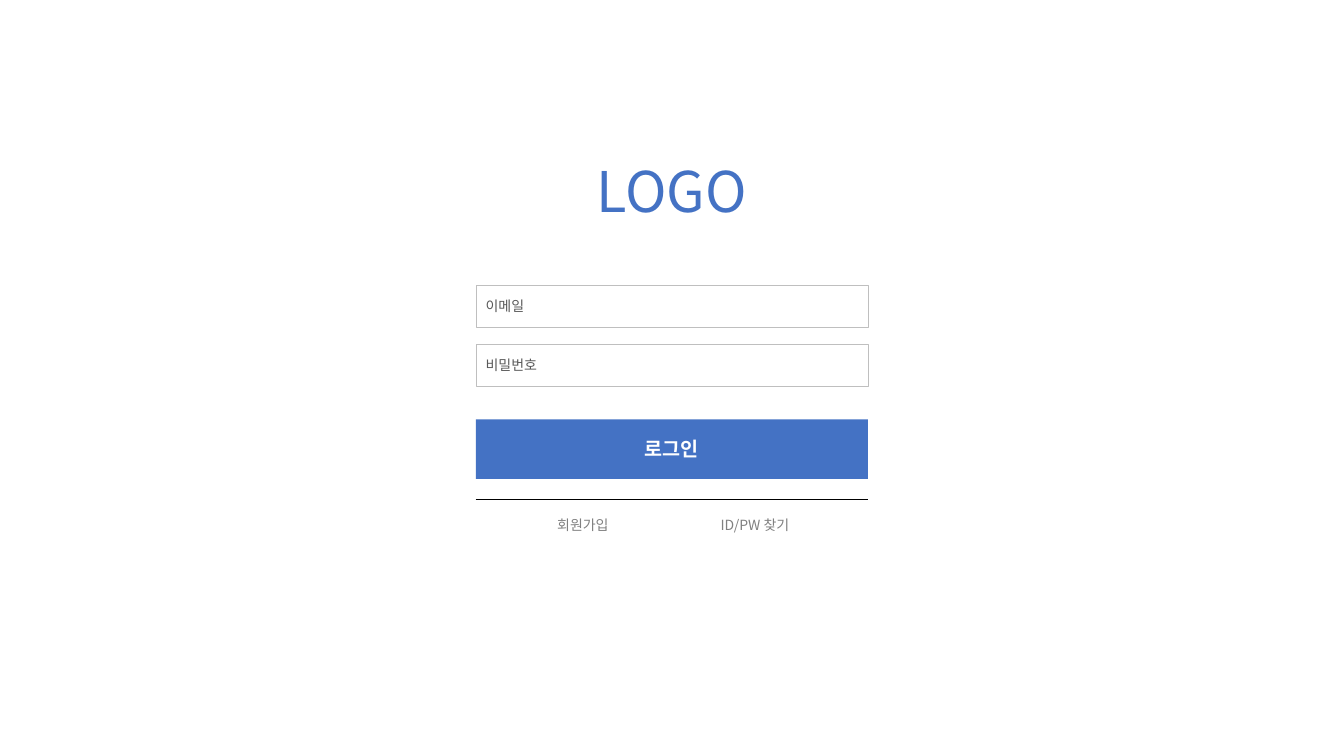
from lxml import etree
from pptx import Presentation
from pptx.dml.color import RGBColor
from pptx.enum.shapes import MSO_CONNECTOR, MSO_SHAPE
from pptx.enum.text import MSO_ANCHOR, MSO_AUTO_SIZE, PP_ALIGN
from pptx.oxml.ns import qn
from pptx.util import Pt

RECTANGLE = MSO_SHAPE.RECTANGLE
STRAIGHT = MSO_CONNECTOR.STRAIGHT
MIDDLE = MSO_ANCHOR.MIDDLE
GROW = MSO_AUTO_SIZE.SHAPE_TO_FIT_TEXT
CENTER = PP_ALIGN.CENTER

COLORS = {
    "accent": "4472C4",
    "white": "FFFFFF",
    "border": "BFBFBF",
    "hint": "595959",
    "link": "808080",
    "rule": "000000",
}
FONT = "Noto Sans CJK KR"
FORM_LEFT, FORM_WIDTH = 339.84, 280.08
FIELD_TOP, FIELD_HEIGHT, FIELD_STEP = 203.76, 30.24, 42
HINT_INSET, LABEL_HEIGHT = 5.4, 19.44
LINK_TOP = 365.76


class LoginPage:
    """Draws login form elements on one slide in a shared style."""

    def __init__(self, page):
        self.page = page

    def color(self, name):
        return RGBColor.from_string(COLORS[name])

    def add_text(self, frame, text, size, color, bold=False):
        para = frame.paragraphs[0]
        span = para.add_run()
        span.text = text
        formats = {"name": FONT, "size": Pt(size), "bold": bold}
        for name, value in formats.items():
            setattr(span.font, name, value)
        span.font.color.rgb = self.color(color)
        latin = span.font._element.find(qn("a:latin"))
        east_asian = etree.Element(qn("a:ea"), typeface=FONT)
        latin.addnext(east_asian)
        return para

    def label(self, text, left, top, width, height=LABEL_HEIGHT, size=10, color="link"):
        box = self.page.shapes.add_textbox(Pt(left), Pt(top), Pt(width), Pt(height))
        formats = {"word_wrap": False, "auto_size": GROW}
        for name, value in formats.items():
            setattr(box.text_frame, name, value)
        self.add_text(box.text_frame, text, size, color)

    def box(self, top, height, fill, border=None):
        box = self.page.shapes.add_shape(
            RECTANGLE, Pt(FORM_LEFT), Pt(top), Pt(FORM_WIDTH), Pt(height))
        box.shadow.inherit = False
        box.fill.solid()
        box.fill.fore_color.rgb = self.color(fill)
        if border:
            box.line.color.rgb = self.color(border)
            box.line.width = Pt(0.25)
        else:
            box.line.fill.background()
        return box

    def field(self, hint, top, hint_width):
        self.box(top, FIELD_HEIGHT, "white", "border")
        self.label(hint, FORM_LEFT, top + HINT_INSET, hint_width, color="hint")

    def button(self, text, top, height):
        frame = self.box(top, height, "accent").text_frame
        frame.vertical_anchor = MIDDLE
        self.add_text(frame, text, 14, "white", bold=True).alignment = CENTER

    def rule(self, top):
        line = self.page.shapes.add_connector(
            STRAIGHT, Pt(FORM_LEFT), Pt(top), Pt(FORM_LEFT + FORM_WIDTH), Pt(top))
        line.line.color.rgb = self.color("rule")
        line.line.width = Pt(0.5)
        etree.SubElement(line._element.spPr, qn("a:effectLst"))


def main():
    deck = Presentation()
    deck.slide_width, deck.slide_height = Pt(960), Pt(540)
    login = LoginPage(deck.slides.add_slide(deck.slide_layouts[6]))

    login.label("LOGO", 419.04, 108, 122.4, 55.44, size=40, color="accent")
    for row, (hint, width) in enumerate([("이메일", 46.08), ("비밀번호", 55.44)]):
        login.field(hint, FIELD_TOP + row * FIELD_STEP, width)
    login.button("로그인", 299.52, 42.48)
    login.rule(356.4)
    for text, left, width in [("회원가입", 390.96, 55.44), ("ID/PW 찾기", 507.6, 67.68)]:
        login.label(text, left, LINK_TOP, width)

    deck.save("out.pptx")


if __name__ == "__main__":
    main()
